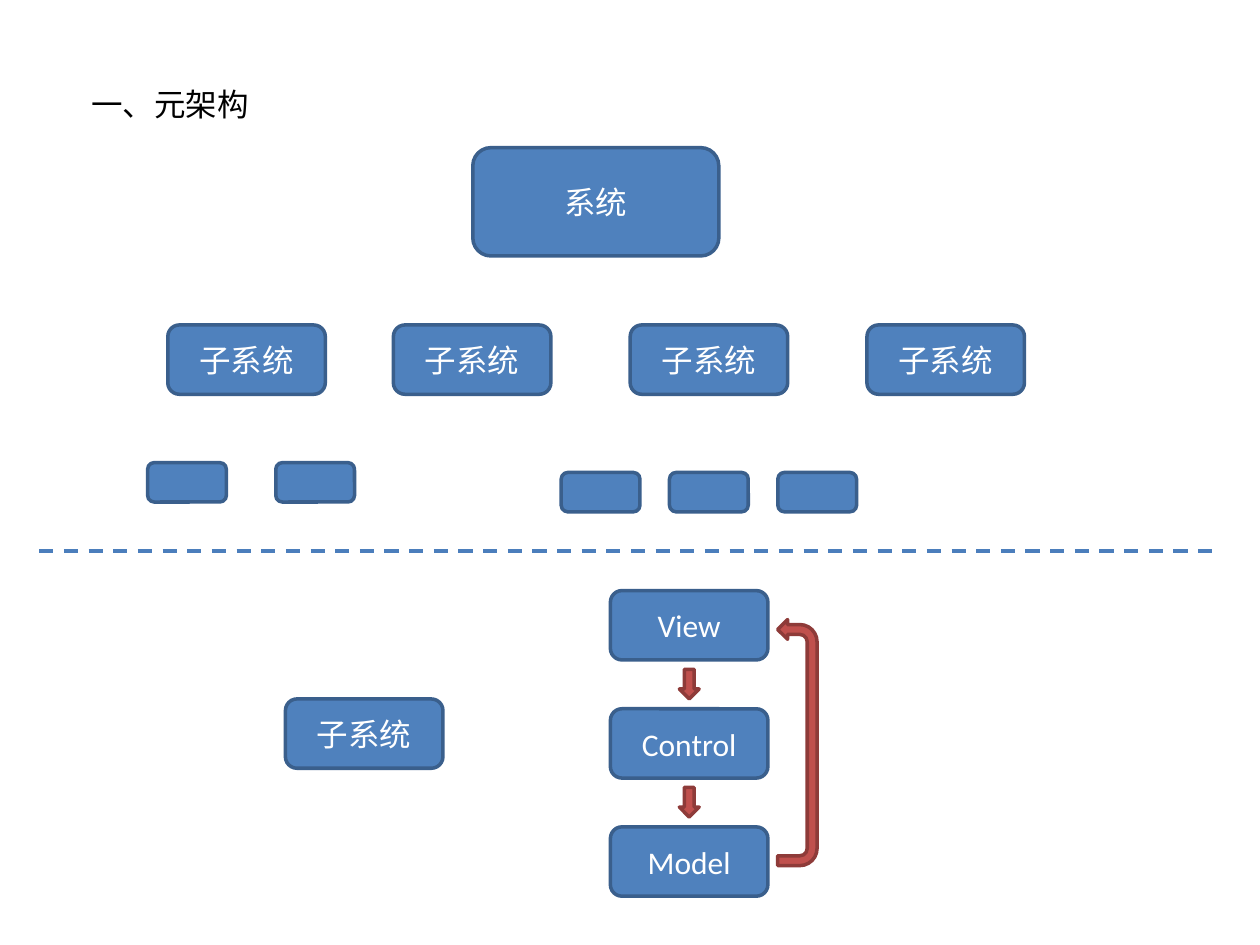
from lxml import etree
from pptx import Presentation
from pptx import util as u
from pptx.dml.color import RGBColor
from pptx.enum import dml, shapes, text
from pptx.oxml import ns

BLUE = RGBColor(0x4F, 0x81, 0xBD)
BLUE_EDGE = RGBColor(0x3A, 0x5F, 0x8C)
RED = RGBColor(0xC0, 0x50, 0x4D)
RED_EDGE = RGBColor(0x8E, 0x3B, 0x39)
DASH = RGBColor(0x4B, 0x7E, 0xBC)
WHITE = RGBColor(0xFF, 0xFF, 0xFF)
BLACK = RGBColor(0, 0, 0)

KIND = shapes.MSO_SHAPE
FONT = {"name": "Calibri", "size": u.Pt(18)}
BOX = (90, 39.6)
SMALL = (45, 22.5)


def write(tf, words, color, align, **frame):
    """Put one line of text in a text frame."""
    for key, value in frame.items():
        setattr(tf, key, value)
    p = tf.paragraphs[0]
    p.alignment = align
    r = p.add_run()
    r.text = words
    for key, value in FONT.items():
        setattr(r.font, key, value)
    r.font.color.rgb = color


def add_shape(s, kind, x, y, w, h, fill, edge):
    """Add a filled, outlined preset shape without a shadow."""
    sp = s.shapes.add_shape(kind, u.Pt(x), u.Pt(y), u.Pt(w), u.Pt(h))
    sp.shadow.inherit = False
    sp.fill.solid()
    sp.fill.fore_color.rgb = fill
    sp.line.color.rgb = edge
    sp.line.width = u.Pt(2)
    return sp


def add_box(s, x, y, size=BOX, words=""):
    """Add a blue rounded box, with a centred label if one is given."""
    sp = add_shape(s, KIND.ROUNDED_RECTANGLE, x, y, *size, BLUE, BLUE_EDGE)
    if words:
        write(sp.text_frame, words, WHITE, text.PP_ALIGN.CENTER,
              word_wrap=True, vertical_anchor=text.MSO_ANCHOR.MIDDLE)


def add_title(s, x, y, w, h):
    """Add the heading."""
    tb = s.shapes.add_textbox(u.Pt(x), u.Pt(y), u.Pt(w), u.Pt(h))
    write(tb.text_frame, "一、元架构", BLACK, text.PP_ALIGN.LEFT,
          word_wrap=False, auto_size=text.MSO_AUTO_SIZE.SHAPE_TO_FIT_TEXT)


def add_tree(s, x, y):
    """Add the system, its subsystems and their parts."""
    add_box(s, x + 185.8, y, (140.6, 61.9), "系统")
    for dx in (11.5, 140.4, 275.7, 411):
        add_box(s, x + dx, y + 101.3, BOX, "子系统")
    for dx, dy, pitch, count in ((0, 180, 73.2, 2), (236.3, 185.6, 61.9, 3)):
        for i in range(count):
            add_box(s, x + dx + i * pitch, y + dy, SMALL)


def add_divider(s, x, y, w):
    """Add the dashed line between the two halves."""
    cn = s.shapes.add_connector(shapes.MSO_CONNECTOR.STRAIGHT,
                                u.Pt(x), u.Pt(y), u.Pt(x + w), u.Pt(y))
    cn.line.color.rgb = DASH
    cn.line.width = u.Pt(2)
    cn.line.dash_style = dml.MSO_LINE.DASH
    etree.SubElement(cn._element.spPr, ns.qn("a:effectLst"))


def add_mvc(s, x, y, pitch=67.5):
    """Add the View, Control, Model column with its arrows."""
    layers = ("View", "Control", "Model")
    for i, words in enumerate(layers):
        add_box(s, x, y + i * pitch, BOX, words)
    for i in range(len(layers) - 1):
        add_shape(s, KIND.DOWN_ARROW, x + 39.4, y + 45 + i * pitch,
                  11.3, 16.9, RED, RED_EDGE)
    back = add_shape(s, KIND.U_TURN_ARROW, x + 36.6, y + 75.6,
                     140.6, 22.5, RED, RED_EDGE)
    back.rotation = 90
    back._element.spPr.xfrm.set("flipH", "1")
    for i, value in enumerate((0.25, 0.25, 0.25, 0.44, 1)):
        back.adjustments[i] = value


def main():
    """Build the slide and save it."""
    prs = Presentation()
    prs.slide_width, prs.slide_height = u.Pt(720), u.Pt(540)
    s = prs.slides.add_slide(prs.slide_layouts[6])
    add_title(s, 45, 45, 105, 29)
    add_tree(s, 84.4, 84.4)
    add_box(s, 163.1, 399.4, BOX, "子系统")
    add_mvc(s, 348.8, 337.5)
    add_divider(s, 22.5, 315, 675)
    prs.save("out.pptx")


main()
